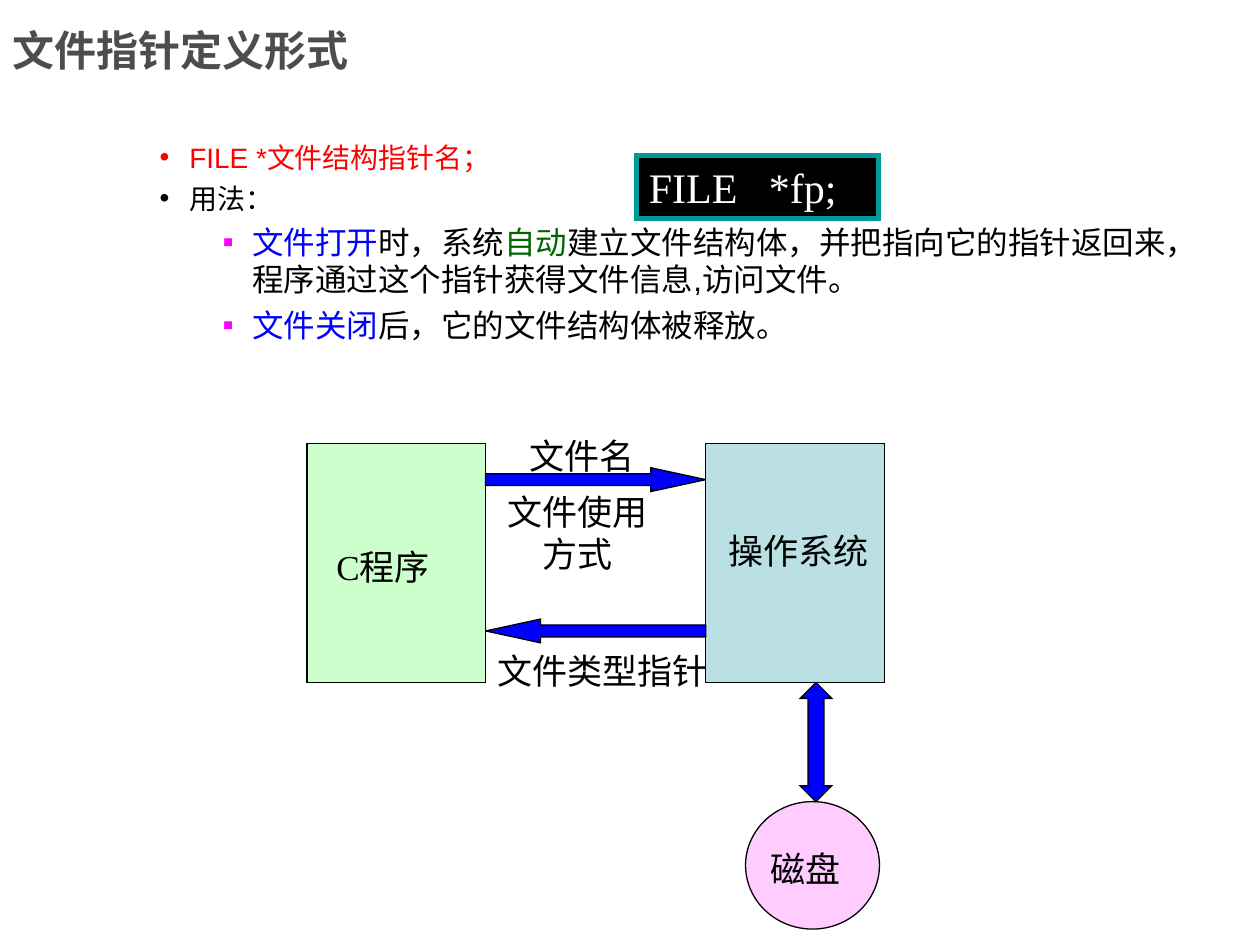
from lxml.etree import SubElement
from pptx import Presentation
from pptx.dml.color import RGBColor
from pptx.enum.shapes import MSO_SHAPE
from pptx.enum.text import MSO_ANCHOR, PP_ALIGN
from pptx.oxml.ns import qn
from pptx.util import Cm, Pt

SERIF, SANS, HAN = "Times New Roman", "Arial", "Noto Sans CJK SC"
BLACK, BLUE, RED, GREEN, PINK = "000000", "0000FF", "FF0000", "006600", "FF00FF"

# Bullets: level, bullet colour, runs of (text, colour)
POINTS = [
    (0, RED, [("FILE *文件结构指针名；", RED)]),
    (0, BLACK, [("用法：", BLACK)]),
    (1, PINK, [("文件打开", BLUE), ("时，系统", BLACK), ("自动", GREEN),
               ("建立文件结构体，并把指向它的指针返回来，"
                "程序通过这个指针获得文件信息,访问文件。", BLACK)]),
    (1, PINK, [("文件关闭", BLUE), ("后，它的文件结构体被释放。", BLACK)]),
]
# Bullet levels: mark, text indent in cm, size, space before
LEVELS = [("•", 2.54, 16, 4), ("▪", 3.81, 18, 4.5)]
HANG = 0.6

# Diagram, in cm
BOX_W, BOX_H, BOX_Y = 3.6, 4.82, 8.94
PROG_X, SYS_X = 6.19, 14.23
FLOW_X = PROG_X + BOX_W
FLOW_W, FLOW_H = SYS_X - FLOW_X, 0.48
DISK_Y = 16.16
LINK_Y = BOX_Y + BOX_H
SHAPES = [
    (MSO_SHAPE.RECTANGLE, PROG_X, BOX_Y, BOX_W, BOX_H, "CCFFCC", []),
    (MSO_SHAPE.RECTANGLE, SYS_X, BOX_Y, BOX_W, BOX_H, "BBE0E3", []),
    (MSO_SHAPE.OVAL, 15.03, DISK_Y, 2.7, 2.57, "FFCCFF", []),
    (MSO_SHAPE.RIGHT_ARROW, FLOW_X, 9.43, FLOW_W, FLOW_H, BLUE, [0.5, 2.31]),
    (MSO_SHAPE.LEFT_ARROW, FLOW_X, 12.48, FLOW_W, FLOW_H, BLUE, [0.5, 2.31]),
    (MSO_SHAPE.UP_DOWN_ARROW, 16.13, LINK_Y, 0.64, DISK_Y - LINK_Y, BLUE, [0.76, 0.5]),
]
LABELS = [
    ("文件名", 10.42, 8.64, 2.9, 1.11),
    ("文件使用\n方式", 9.9, 9.77, 3.5, 1.96),
    ("文件类型指针", 9.78, 12.97, 5.1, 1.11),
    ("C程序", 6.53, 10.87, 2.9, 1.11),
    ("操作系统", 14.44, 10.54, 3.5, 1.11),
    ("磁盘", 15.29, 16.97, 2.3, 1.11),
]


def rgb(code):
    return RGBColor.from_string(code)


def style(run, size, face, color, bold=False):
    font = run.font
    font.size, font.bold = Pt(size), bold
    font.color.rgb = rgb(color)
    font.name = face
    SubElement(run._r.get_or_add_rPr(), qn("a:ea")).set("typeface", HAN)


def write(frame, text, size, face, color, bold=False, align=PP_ALIGN.LEFT):
    frame.text = text
    for para in frame.paragraphs:
        para.alignment = align
        for run in para.runs:
            style(run, size, face, color, bold)


def draw(slide, kind, x, y, w, h, fill, line, width):
    shape = slide.shapes.add_shape(kind, Cm(x), Cm(y), Cm(w), Cm(h))
    shape.shadow.inherit = False
    shape.fill.solid()
    shape.fill.fore_color.rgb = rgb(fill)
    shape.line.color.rgb = rgb(line)
    shape.line.width = Pt(width)
    # Sharp corners
    edge = shape._element.spPr.find(qn("a:ln"))
    SubElement(edge, qn("a:miter")).set("lim", "800000")
    return shape


def frame_at(slide, x, y, w, h):
    frame = slide.shapes.add_textbox(Cm(x), Cm(y), Cm(w), Cm(h)).text_frame
    frame.word_wrap = True
    return frame


def bullet(para, mark, color, indent):
    props = para._p.get_or_add_pPr()
    props.set("marL", str(Cm(indent)))
    props.set("indent", str(-Cm(HANG)))
    tint = SubElement(props, qn("a:buClr"))
    SubElement(tint, qn("a:srgbClr")).set("val", color)
    SubElement(props, qn("a:buFont")).set("typeface", SANS)
    SubElement(props, qn("a:buChar")).set("char", mark)


def main():
    deck = Presentation()
    deck.slide_width, deck.slide_height = Cm(25.4), Cm(19.05)
    slide = deck.slides.add_slide(deck.slide_layouts[6])

    # Title
    title = frame_at(slide, 0, 0, 16.69, 2)
    title.vertical_anchor = MSO_ANCHOR.MIDDLE
    write(title, "文件指针定义形式", 24, SANS, "4D4D4D", bold=True)

    # Bullet list
    body = frame_at(slide, 1.03, 2.71, 23.75, 5.8)
    for i, (level, tint, runs) in enumerate(POINTS):
        mark, indent, size, before = LEVELS[level]
        para = body.add_paragraph() if i else body.paragraphs[0]
        para.level = level
        para.space_before = Pt(before)
        bullet(para, mark, tint, indent)
        for text, color in runs:
            run = para.add_run()
            run.text = text
            style(run, size, SANS, color)

    # Diagram shapes and labels
    for kind, x, y, w, h, fill, adjust in SHAPES:
        shape = draw(slide, kind, x, y, w, h, fill, BLACK, 0.75)
        for i, value in enumerate(adjust):
            shape.adjustments[i] = value
    for text, x, y, w, h in LABELS:
        align = PP_ALIGN.CENTER if "\n" in text else PP_ALIGN.LEFT
        write(frame_at(slide, x, y, w, h), text, 20, SERIF, BLACK, align=align)

    # Declaration
    code = draw(slide, MSO_SHAPE.RECTANGLE, 12.83, 3.13, 4.88, 1.27, BLACK, "009999", 3)
    code.text_frame.vertical_anchor = MSO_ANCHOR.TOP
    write(code.text_frame, "FILE   *fp;", 24, SERIF, "FFFFFF")

    deck.save("out.pptx")


if __name__ == "__main__":
    main()
